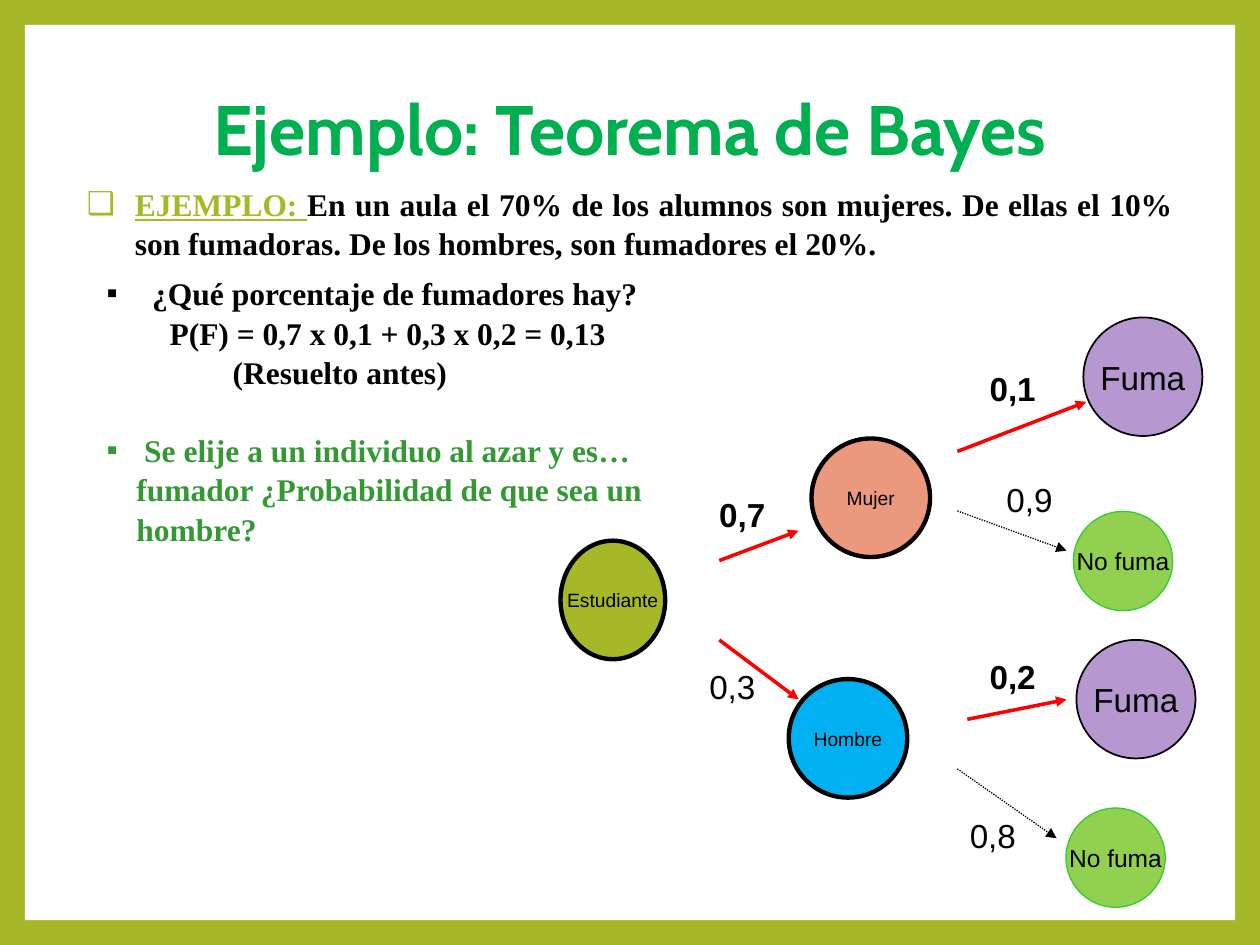
from lxml import etree
from pptx import Presentation
from pptx.dml.color import RGBColor
from pptx.enum.dml import MSO_LINE
from pptx.enum.shapes import MSO_CONNECTOR, MSO_SHAPE
from pptx.enum.text import MSO_ANCHOR, MSO_AUTO_SIZE, PP_ALIGN
from pptx.oxml.ns import qn
from pptx.util import Cm, Pt

OVAL, RECTANGLE = MSO_SHAPE.OVAL, MSO_SHAPE.RECTANGLE
STRAIGHT, DOTTED = MSO_CONNECTOR.STRAIGHT, MSO_LINE.ROUND_DOT
MIDDLE, GROW = MSO_ANCHOR.MIDDLE, MSO_AUTO_SIZE.SHAPE_TO_FIT_TEXT
CENTER, JUSTIFY, LEFT = PP_ALIGN.CENTER, PP_ALIGN.JUSTIFY, PP_ALIGN.LEFT

OLIVE = RGBColor(0xA6, 0xB7, 0x27)
WHITE = RGBColor(0xFF, 0xFF, 0xFF)
BLACK = RGBColor(0, 0, 0)
RED = RGBColor(0xFF, 0, 0)
TITLE_GREEN = RGBColor(0, 0xB0, 0x50)
QUESTION_GREEN = RGBColor(0x33, 0x99, 0x33)
LIGHT_GREEN = RGBColor(0x92, 0xD0, 0x50)
EDGE_GREEN = RGBColor(0x33, 0xCC, 0x33)
BLUE = RGBColor(0, 0xB0, 0xF0)
SALMON = RGBColor(0xEC, 0x98, 0x7D)
PURPLE = RGBColor(0x70, 0x30, 0xA0)


def add_span(para, text, color, **font_values):
    span = para.add_run()
    span.text = text
    span.font.color.rgb = color
    for name, value in font_values.items():
        setattr(span.font, name, value)


def set_indent(para, margin, bullet=None):
    """Indent the paragraph; a bullet hangs in the margin."""
    properties = para._p.get_or_add_pPr()
    properties.set("marL", str(Cm(margin)))
    properties.set("indent", str(-Cm(margin) if bullet else 0))
    if bullet:
        etree.SubElement(properties, qn("a:buFont")).set("typeface", "Wingdings")
        properties[-1].set("typeface", "Arial")
        etree.SubElement(properties, qn("a:buChar")).set("char", bullet)


deck = Presentation()
deck.slide_width, deck.slide_height = Cm(25.4), Cm(19.05)
slide = deck.slides.add_slide(deck.slide_layouts[5])
shapes = slide.shapes
slide.background.fill.solid()
slide.background.fill.fore_color.rgb = OLIVE

# White page behind the title
page = shapes.add_shape(RECTANGLE, Cm(0.5), Cm(0.5), Cm(24.4), Cm(18.05))
page.shadow.inherit = False
page.fill.solid()
page.fill.fore_color.rgb = WHITE
page.line.fill.background()
shapes.title._element.addprevious(page._element)

title = shapes.title
title.left, title.top, title.width, title.height = Cm(2.41), Cm(0.79), Cm(20.57), Cm(3.76)
title.text_frame.vertical_anchor = MIDDLE
para = title.text_frame.paragraphs[0]
para.alignment, para.line_spacing = CENTER, 0.9
add_span(para, "Ejemplo: Teorema de Bayes", TITLE_GREEN, size=Pt(40), name="Cabin", bold=True)

# Tree nodes
STUDENT = {"size": 11, "edge": BLACK, "weight": 2.5}
SMOKER = {"size": 19, "edge": BLACK, "weight": 1, "fill": PURPLE}
NON_SMOKER = {"size": 14, "edge": EDGE_GREEN, "weight": 0.75, "fill": LIGHT_GREEN}
nodes = [
    ("Estudiante", 11.3, 10.9, 2.11, 2.39, STUDENT | {"fill": OLIVE}),
    ("Mujer", 16.36, 8.84, 2.39, 2.39, STUDENT | {"fill": SALMON}),
    ("Hombre", 15.9, 13.69, 2.39, 2.39, STUDENT | {"fill": BLUE}),
    ("Fuma", 21.84, 6.4, 2.4, 2.39, SMOKER),
    ("No fuma", 21.64, 10.31, 2, 2, NON_SMOKER),
    ("Fuma", 21.7, 12.9, 2.4, 2.39, SMOKER),
    ("No fuma", 21.49, 16.29, 2, 2, NON_SMOKER),
]
for text, left, top, width, height, style in nodes:
    node = shapes.add_shape(OVAL, Cm(left), Cm(top), Cm(width), Cm(height))
    node.shadow.inherit = False
    node.fill.solid()
    node.fill.fore_color.rgb = style["fill"]
    if style is SMOKER:
        color = node._element.spPr.find(qn("a:solidFill"))[0]
        etree.SubElement(color, qn("a:alpha")).set("val", "50000")
    node.line.color.rgb = style["edge"]
    node.line.width = Pt(style["weight"])
    node.text_frame.word_wrap = False
    node.text_frame.vertical_anchor = MIDDLE
    para = node.text_frame.paragraphs[0]
    para.alignment = CENTER
    add_span(para, text, BLACK, size=Pt(style["size"]), name="Arial")

# Branches: start, end, dotted
branches = [
    ((14.5, 11.3), (16.1, 10.7), False),
    ((14.5, 12.9), (16.1, 14.1), False),
    ((19.3, 9.1), (21.9, 8.1), False),
    ((19.3, 10.3), (21.5, 11.1), True),
    ((19.5, 14.5), (21.5, 14.1), False),
    ((19.3, 15.5), (21.3, 16.9), True),
]
for start, end, dotted in branches:
    branch = shapes.add_connector(STRAIGHT, *map(Cm, start + end))
    branch.line.color.rgb = BLACK if dotted else RED
    branch.line.width = Pt(0.75 if dotted else 2)
    if dotted:
        branch.line.dash_style = DOTTED
    etree.SubElement(branch.line._get_or_add_ln(), qn("a:tailEnd")).set("type", "triangle")
    etree.SubElement(branch._element.spPr, qn("a:effectLst"))

# Probabilities: text, left, top, bold
probabilities = [
    ("0,7", 14.25, 9.83, True),
    ("0,1", 19.7, 7.29, True),
    ("0,2", 19.7, 13.11, True),
    ("0,3", 14.05, 13.31, False),
    ("0,8", 19.3, 16.31, False),
    ("0,9", 20.04, 9.53, False),
]
for text, left, top, bold in probabilities:
    box = shapes.add_textbox(Cm(left), Cm(top), Cm(1.45), Cm(1.07))
    box.text_frame.word_wrap = False
    box.text_frame.auto_size = GROW
    add_span(box.text_frame.paragraphs[0], text, BLACK, size=Pt(19), name="Arial", bold=bold)

# Statement and questions
BODY = {"size": Pt(18), "name": "Times New Roman", "bold": True}
LINE_SPACING = 1.05

box = shapes.add_textbox(Cm(1.5), Cm(3.56), Cm(22.4), Cm(2))
box.text_frame.word_wrap = True
para = box.text_frame.paragraphs[0]
para.alignment, para.line_spacing = JUSTIFY, LINE_SPACING
set_indent(para, 0.97, "❑")
add_span(para, "EJEMPLO: ", OLIVE, underline=True, **BODY)
add_span(para, "En un aula el 70% de los alumnos son mujeres. De ellas el 10% son fumadoras. "
         "De los hombres, son fumadores el 20%.", BLACK, **BODY)

box = shapes.add_textbox(Cm(1.9), Cm(5.36), Cm(11.3), Cm(5.64))
box.text_frame.word_wrap = True
box.text_frame.auto_size = GROW
# Text, margin, bullet, space before, colour; the last one starts with an en space
lines = [
    ("¿Qué porcentaje de fumadores hay?", 0.92, "▪", 0, BLACK),
    ("P(F) = 0,7 x 0,1 + 0,3 x 0,2 = 0,13", 1.27, None, 0, BLACK),
    ("(Resuelto antes)", 2.54, None, 0, BLACK),
    (" Se elije a un individuo al azar y es… fumador ¿Probabilidad de que sea un hombre?",
     0.6, "▪", 21.6, QUESTION_GREEN),
]
for number, (text, margin, bullet, space, color) in enumerate(lines):
    para = box.text_frame.add_paragraph() if number else box.text_frame.paragraphs[0]
    para.alignment, para.line_spacing = LEFT, LINE_SPACING
    if space:
        para.space_before = Pt(space)
    set_indent(para, margin, bullet)
    add_span(para, text, color, **BODY)

deck.save("out.pptx")
